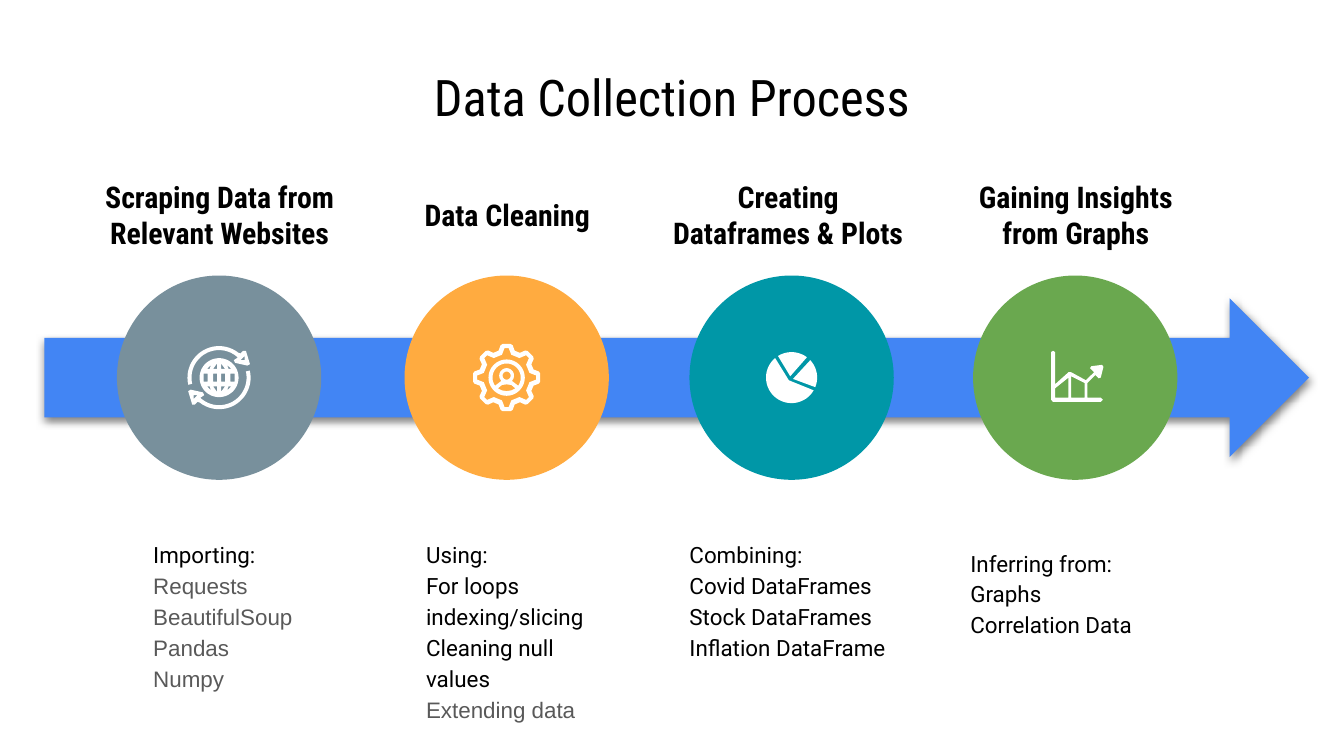
from dataclasses import dataclass
from itertools import product
from math import cos, radians, sin

from pptx import Presentation
from pptx.dml.color import RGBColor
from pptx.enum.shapes import MSO_SHAPE
from pptx.enum.text import MSO_ANCHOR, MSO_AUTO_SIZE, PP_ALIGN
from pptx.oxml import parse_xml
from pptx.oxml.ns import nsdecls, qn
from pptx.util import Pt

PX = 4572  # EMU per px, 200 px to the inch
CIRCLE_TOP, CIRCLE_SIZE = 410, 304
BLACK, GREY, WHITE = "000000", "595959", "FFFFFF"

Point = tuple[float, float]
Outline = list[Point]
Icon = list[list[Outline]]  # shapes, each an outer outline and its holes


@dataclass(frozen=True)
class Area:
    left: int
    top: int
    width: int
    height: int


@dataclass(frozen=True)
class Step:
    heading: str
    heading_left: int
    circle_left: int
    color: str
    icon: Icon
    note: Area
    lines: list[str]
    grey_lines: list[str]


def rgb(color: str) -> RGBColor:
    return RGBColor.from_string(color)


def place(shape, area: Area) -> None:
    for name in ("left", "top", "width", "height"):
        setattr(shape, name, getattr(area, name) * PX)


def format_frame(frame, inset: int, anchor) -> None:
    values = {f"margin_{side}": inset * PX for side in ("left", "top", "right", "bottom")}
    values |= {"word_wrap": True, "auto_size": MSO_AUTO_SIZE.NONE, "vertical_anchor": anchor}
    for name, value in values.items():
        setattr(frame, name, value)


def write(para, text: str, size: int, font: str, color: str, bold: bool = False) -> None:
    span = para.add_run()
    span.text = text
    for name, value in {"size": Pt(size), "name": font, "bold": bold}.items():
        setattr(span.font, name, value)
    span.font.color.rgb = rgb(color)


def paint(shape, color: str) -> None:
    shape.fill.solid()
    shape.fill.fore_color.rgb = rgb(color)
    shape.line.fill.background()
    shape.shadow.inherit = False


def add_filled(page, kind, area: Area, color: str):
    shape = page.shapes.add_shape(kind, 0, 0, PX, PX)
    place(shape, area)
    paint(shape, color)
    return shape


def arc(radius: float, start: int, end: int, center_y: int = 0) -> Outline:
    """Points clockwise from start to end degrees, or back if end is smaller."""
    steps = max(2, abs(end - start) // 6)
    angles = [radians(start + (end - start) * i / steps) for i in range(steps + 1)]
    return [(radius * cos(a), center_y + radius * sin(a)) for a in angles]


def turn(outline: Outline, degrees: int) -> Outline:
    c, s = cos(radians(degrees)), sin(radians(degrees))
    return [(x * c - y * s, x * s + y * c) for x, y in outline]


def mirrored(outline: Outline) -> list[Outline]:
    return [[(x * h, y * v) for x, y in outline] for h, v in product((1, -1), repeat=2)]


def globe_icon() -> Icon:
    head = [(32, -36), (36, -40), (40, -40), (46, -20), (42, -18), (24, -22), (22, -26), (28, -30)]
    orbit = [arc(47, 167, 308) + head + arc(41, 313, 167), [(38, -32), (38, -26), (32, -26)]]
    globe = [arc(29, 0, 360)]
    globe += mirrored([(-12, -19), (-14, -13), (-18, -13)])
    globe += mirrored([(-3, -21), (-3, -13), (-9, -13)])
    for left, side in product((-23, -9), (1, -1)):
        globe.append([(x * side, y) for x, y in
                      ((left, -6), (left + 6, -6), (left + 6, 6), (left, 6))])
    return [orbit, [turn(outline, 180) for outline in orbit], globe]


def gear_icon() -> Icon:
    tooth = [(-12, -40), (-9, -48), (-6, -50), (6, -50), (9, -48), (12, -40)]
    inner_tooth = [(-7, -34), (-3, -44), (3, -44), (7, -34)]
    gear = [[point for k in range(8) for point in turn(shape, 45 * k)]
            for shape in (tooth, inner_tooth)]
    shoulders = [(-13, 16), (-7, 11), (0, 10), (7, 11), (13, 16), (7, 19), (0, 20), (-7, 19)]
    person = [arc(27, 0, 360), arc(21, 145, 395) + arc(11, 45, -225, -3),
              arc(6, 0, 360, -3), shoulders]
    return [person, gear]


def pie_icon() -> Icon:
    slices = [(30, 230, (-4, 4)), (238, 307, (-2, -2)), (317, 382, (2, 2))]
    return [[arc(38, start, end) + [tip]] for start, end, tip in slices]


def graph_icon() -> Icon:
    outer = [(-36, -38), (-33, -40), (-30, -38), (-30, 10), (-10, -8), (-6, -8), (16, 4),
             (28, -8), (22, -14), (24, -17), (40, -19), (42, -16), (38, 0), (35, 1),
             (30, -4), (18, 8), (18, 30), (38, 30), (41, 33), (38, 36), (-33, 36), (-36, 33)]
    return [[outer, [(-10, 0), (-10, 30), (-30, 30), (-30, 16)],
             [(-6, -2), (14, 8), (14, 30), (-6, 30)]]]


def draw_icon(page, icon: Icon, center_x: int, center_y: int) -> None:
    for outlines in icon:
        builder = None
        for outline in outlines:
            first, *rest = [(round((center_x + x) * PX), round((center_y + y) * PX))
                            for x, y in outline]
            if builder is None:
                builder = page.shapes.build_freeform(*first)
            else:
                builder.move_to(*first)
            builder.add_line_segments(rest, close=True)
        paint(builder.convert_to_shape(), WHITE)


def draw_step(page, step: Step) -> None:
    circle = Area(step.circle_left, CIRCLE_TOP, CIRCLE_SIZE, CIRCLE_SIZE)
    add_filled(page, MSO_SHAPE.OVAL, circle, step.color)
    half = CIRCLE_SIZE // 2
    draw_icon(page, step.icon, step.circle_left + half, CIRCLE_TOP + half)
    box = page.shapes.add_textbox(0, 0, PX, PX)
    place(box, Area(step.heading_left, 242, 446, 154))
    format_frame(box.text_frame, 50, MSO_ANCHOR.MIDDLE)
    para = box.text_frame.paragraphs[0]
    para.alignment = PP_ALIGN.CENTER
    write(para, step.heading, 16, "Roboto Condensed", BLACK, bold=True)


def fill_note(box, step: Step) -> None:
    place(box, step.note)
    frame = box.text_frame
    format_frame(frame, 20, MSO_ANCHOR.TOP)
    styled = [(line, "Roboto", BLACK) for line in step.lines]
    styled += [(line, "Arial", GREY) for line in step.grey_lines]
    for i, (line, font, color) in enumerate(styled):
        para = frame.add_paragraph() if i else frame.paragraphs[0]
        properties = para._p.get_or_add_pPr()
        properties.set("marL", "0")
        properties.set("indent", "0")
        properties.append(parse_xml(f"<a:buNone {nsdecls('a')}/>"))
        for name, value in {"line_spacing": 1.15, "space_before": Pt(0)}.items():
            setattr(para, name, value)
        write(para, line, 12, font, color)


def draw_arrow(page) -> None:
    arrow = add_filled(page, MSO_SHAPE.RIGHT_ARROW, Area(66, 444, 1882, 236), "4285F4")
    arrow._element.spPr.find(qn("a:effectLst")).append(parse_xml(
        f'<a:outerShdw {nsdecls("a")} blurRad="57150" dist="19050" dir="5400000" '
        'algn="bl" rotWithShape="0"><a:srgbClr val="000000"><a:alpha val="50000"/>'
        "</a:srgbClr></a:outerShdw>"))


STEPS = [
    Step("Scraping Data from Relevant Websites", 104, 174, "78909C", globe_icon(),
         Area(208, 780, 446, 324), ["Importing:"],
         ["Requests", "BeautifulSoup", "Pandas", "Numpy"]),
    Step("Data Cleaning", 532, 602, "FFAB40", gear_icon(), Area(614, 780, 320, 214),
         ["Using:", "For loops", "indexing/slicing", "Cleaning null values"],
         ["Extending data"]),
    Step("Creating Dataframes & Plots", 950, 1026, "0097A7", pie_icon(),
         Area(1006, 780, 354, 214),
         ["Combining:", "Covid DataFrames", "Stock DataFrames", "Inflation DataFrame"], []),
    Step("Gaining Insights from Graphs", 1378, 1448, "6AA84F", graph_icon(),
         Area(1424, 792, 354, 214), ["Inferring from:", "Graphs", "Correlation Data"], []),
]


def main() -> None:
    deck = Presentation()
    deck.slide_width, deck.slide_height = 2000 * PX, 1125 * PX
    page = deck.slides.add_slide(deck.slide_layouts.get_by_name("Comparison"))
    title, *notes = page.placeholders
    place(title, Area(100, 90, 1800, 106))
    format_frame(title.text_frame, 20, MSO_ANCHOR.MIDDLE)
    para = title.text_frame.paragraphs[0]
    para.alignment = PP_ALIGN.CENTER
    write(para, "Data Collection Process", 27, "Roboto Condensed", BLACK)
    draw_arrow(page)
    for step, note in zip(STEPS, notes):
        draw_step(page, step)
        fill_note(note, step)
    deck.save("out.pptx")


if __name__ == "__main__":
    main()
